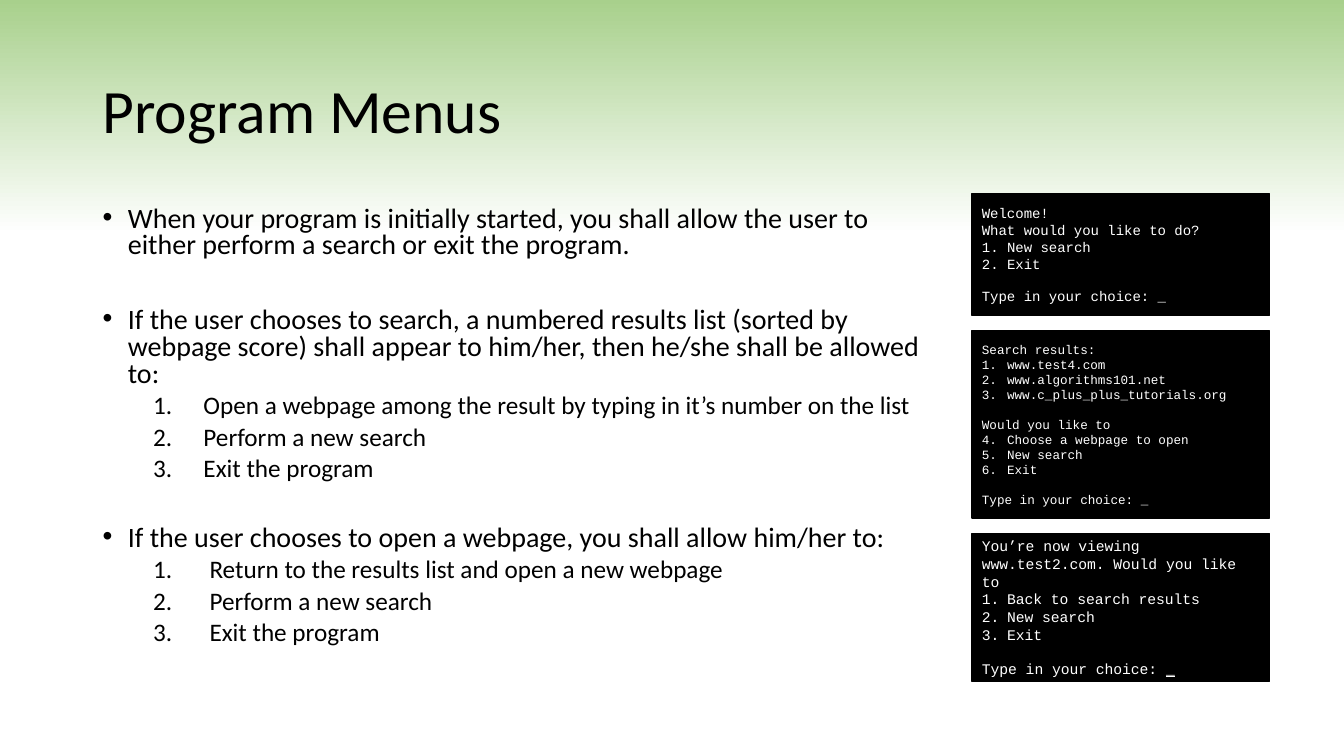
from lxml import etree
from pptx import Presentation
from pptx.dml.color import RGBColor
from pptx.enum.shapes import MSO_SHAPE
from pptx.enum.text import MSO_ANCHOR, PP_ALIGN
from pptx.oxml.ns import qn
from pptx.util import Inches, Pt

RECTANGLE = MSO_SHAPE.RECTANGLE
MIDDLE = MSO_ANCHOR.MIDDLE
LEFT = PP_ALIGN.LEFT
BLACK, WHITE, GREEN = "000000", "FFFFFF", "A8D08C"


def rgb(code):
    return RGBColor.from_string(code)


def write(frame, rows, font, color, spacing=1.0):
    """Each row: text, size, space before, marker, text indent, hanging indent."""
    frame.word_wrap = True
    for index, (text, size, before, marker, indent, hanging) in enumerate(rows):
        line = frame.paragraphs[0] if index == 0 else frame.add_paragraph()
        line.alignment = LEFT
        line.line_spacing = spacing
        line.space_before = Pt(before)
        line.level = 1 if indent >= 1 else 0
        props = line._p.get_or_add_pPr()
        props.set("marL", str(Inches(indent)))
        props.set("indent", str(Inches(-hanging)))
        if marker == "•":
            etree.SubElement(props, qn("a:buFont"), typeface="Arial")
            etree.SubElement(props, qn("a:buChar"), char=marker)
        elif marker:
            etree.SubElement(props, qn("a:buAutoNum"), type="arabicPeriod",
                             startAt=str(marker))
        else:
            etree.SubElement(props, qn("a:buNone"))
        run = line.add_run()
        run.text = text
        run.font.size = Pt(size)
        run.font.name = font
        run.font.color.rgb = rgb(color)


deck = Presentation()
deck.slide_width, deck.slide_height = Inches(13.33), Inches(7.5)
slide = deck.slides.add_slide(deck.slide_layouts[6])

# Background: green fading to white in the top third
backdrop = slide.background.fill
backdrop.gradient()
backdrop.gradient_angle = 270
for stop, code, position in zip(backdrop.gradient_stops, (GREEN, WHITE), (0, 0.31)):
    stop.color.rgb = rgb(code)
    stop.position = position

# Title
title = slide.shapes.add_textbox(Inches(0.92), Inches(0.4), Inches(11.5), Inches(1.45))
title.text_frame.vertical_anchor = MIDDLE
write(title.text_frame, [("Program Menus", 44, 0, None, 0, 0)], "Calibri", BLACK, 0.9)

# Requirements: text, space before, indent of the steps, steps
requirements = [
    ("When your program is initially started, you shall allow the user to "
     "either perform a search or exit the program.", 0, 0, []),
    ("If the user chooses to search, a numbered results list (sorted by webpage "
     "score) shall appear to him/her, then he/she shall be allowed to:", 34, 1,
     ["Open a webpage among the result by typing in it’s number on the list",
      "Perform a new search", "Exit the program"]),
    ("If the user chooses to open a webpage, you shall allow him/her to:", 31, 1.06,
     ["Return to the results list and open a new webpage",
      "Perform a new search", "Exit the program"]),
]
rows = []
for text, before, indent, steps in requirements:
    rows.append((text, 20, before, "•", 0.25, 0.25))
    rows += [(step, 18, 5, 1, indent, indent - 0.5) for step in steps]
body = slide.shapes.add_textbox(Inches(0.92), Inches(2), Inches(8.33), Inches(4.76))
write(body.text_frame, rows, "Calibri", BLACK, 0.8)

# Console screens: height, text size, blocks of (heading lines, first number, options)
screens = [
    (1.21, 10, [(["Welcome!", "What would you like to do?"], 1,
                 ["New search", "Exit"])]),
    (1.86, 9, [(["Search results:"], 1,
                ["www.test4.com", "www.algorithms101.net",
                 "www.c_plus_plus_tutorials.org"]),
               (["Would you like to"], 4,
                ["Choose a webpage to open", "New search", "Exit"])]),
    (1.47, 10.5, [(["You’re now viewing www.test2.com. Would you like to"], 1,
                   ["Back to search results", "New search", "Exit"])]),
]
top, gap = 1.92, 0.15
for height, size, blocks in screens:
    screen = slide.shapes.add_shape(RECTANGLE, Inches(9.64), Inches(top),
                                    Inches(2.95), Inches(height))
    screen.shadow.inherit = False
    screen.fill.solid()
    screen.fill.fore_color.rgb = rgb(BLACK)
    screen.line.color.rgb = rgb(BLACK)
    screen.line.width = Pt(1)
    screen.text_frame.vertical_anchor = MIDDLE
    blank_line = round(size * 1.13, 1)
    rows = []
    for headings, first, options in blocks:
        for place, heading in enumerate(headings):
            before = blank_line if rows and place == 0 else 0
            rows.append((heading, size, before, None, 0, 0))
        rows += [(option, size, 0, first, 0.25, 0.25) for option in options]
    rows.append(("Type in your choice: ", size, blank_line, None, 0, 0))
    write(screen.text_frame, rows, "Courier New", WHITE)

    # Cursor after the prompt, underlined on the last screen
    cursor = screen.text_frame.paragraphs[-1].add_run()
    cursor.text = "_"
    cursor.font.size = Pt(size)
    cursor.font.name = "Courier New"
    cursor.font.color.rgb = rgb(WHITE)
    cursor.font.underline = height == screens[-1][0]
    top += height + gap

deck.save("out.pptx")
